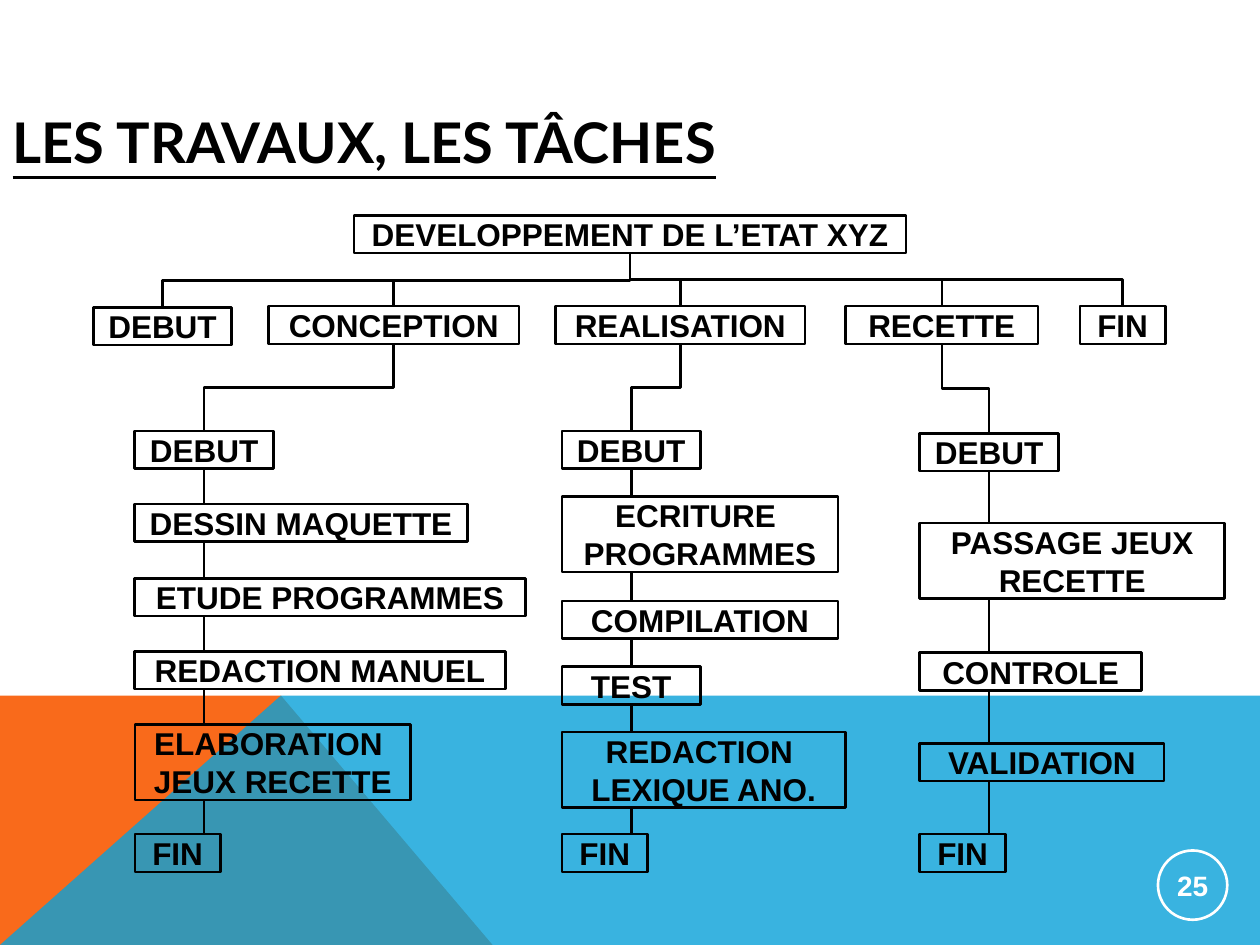
import pptx
import pptx.dml.color
import pptx.enum.shapes
import pptx.enum.text
import pptx.oxml
import pptx.oxml.ns
import pptx.util
from pptx.util import Inches

BLACK = pptx.dml.color.RGBColor(0x00, 0x00, 0x00)
WHITE = pptx.dml.color.RGBColor(0xFF, 0xFF, 0xFF)
ORANGE = pptx.dml.color.RGBColor(0xF9, 0x6A, 0x1B)
BLUE = pptx.dml.color.RGBColor(0x08, 0xA1, 0xD9)
CONNECTOR = pptx.enum.shapes.MSO_CONNECTOR
SHAPE = pptx.enum.shapes.MSO_SHAPE
LINE_HEIGHT = 0.3
TOP, BOTTOM = 0, 2
BUS_Y = 2.22

PHASES = [
    ("DEBUT", 0.74, 2.44, 1.1),
    ("CONCEPTION", 2.13, 2.43, 1.99),
    ("REALISATION", 4.41, 2.43, 1.98),
    ("RECETTE", 6.71, 2.43, 1.53),
    ("FIN", 8.57, 2.43, 0.68),
]
CONCEPTION_TASKS = [
    ("DEBUT", 3.42, 1.1, 1),
    ("DESSIN MAQUETTE", 4, 2.64, 1),
    ("ETUDE PROGRAMMES", 4.59, 3.1, 1),
    ("REDACTION MANUEL", 5.17, 2.94, 1),
    ("ELABORATION \nJEUX RECETTE", 5.75, 2.19, 2),
    ("FIN", 6.62, 0.68, 1),
]
REALISATION_TASKS = [
    ("DEBUT", 3.42, 1.1, 1),
    ("ECRITURE \nPROGRAMMES", 3.94, 2.19, 2),
    ("COMPILATION", 4.77, 2.19, 1),
    ("TEST", 5.29, 1.1, 1),
    ("REDACTION \nLEXIQUE ANO.", 5.81, 2.25, 2),
    ("FIN", 6.62, 0.68, 1),
]
RECETTE_TASKS = [
    ("DEBUT", 3.44, 1.1, 1),
    ("PASSAGE JEUX RECETTE", 4.15, 2.42, 2),
    ("CONTROLE", 5.18, 1.76, 1),
    ("VALIDATION", 5.9, 1.94, 1),
    ("FIN", 6.62, 0.68, 1),
]


def format_text(text_frame, font_name, size, color):
    """Give every run of a text frame the same bold font."""
    for paragraph in text_frame.paragraphs:
        for run in paragraph.runs:
            run.font.name = font_name
            run.font.size = pptx.util.Pt(size)
            run.font.bold = True
            run.font.color.rgb = color


def add_label(slide, kind, box, text, color, size, inset=0):
    """Add an outlined, unfilled shape with centred text."""
    shape = slide.shapes.add_shape(kind, *map(Inches, box))
    shape.shadow.inherit = False
    shape.fill.background()
    shape.line.color.rgb = color
    shape.line.width = pptx.util.Pt(1.5)
    frame = shape.text_frame
    frame.word_wrap = True
    frame.vertical_anchor = pptx.enum.text.MSO_ANCHOR.MIDDLE
    frame.margin_left = frame.margin_right = Inches(inset)
    frame.margin_top = frame.margin_bottom = Inches(inset)
    frame.text = text
    for paragraph in frame.paragraphs:
        paragraph.alignment = pptx.enum.text.PP_ALIGN.CENTER
    format_text(frame, "Arial", size, color)
    return shape


def add_task(slide, text, left, top, width, lines=1):
    """Add one task box sized for its number of text lines."""
    box = (left, top, width, lines * LINE_HEIGHT)
    shape = add_label(slide, SHAPE.RECTANGLE, box, text, BLACK, 18)
    shape.text_frame.auto_size = pptx.enum.text.MSO_AUTO_SIZE.SHAPE_TO_FIT_TEXT
    return shape


def center_x(shape):
    """Return the horizontal middle of a shape."""
    return shape.left + shape.width // 2


def add_line(slide, kind, start, end):
    """Add a black connector between two points given as lengths."""
    connector = slide.shapes.add_connector(kind, *start, *end)
    connector.line.color.rgb = BLACK
    connector.line.width = pptx.util.Pt(1.5)
    effects = pptx.oxml.parse_xml(f'<a:effectLst {pptx.oxml.ns.nsdecls("a")}/>')
    connector._element.spPr.append(effects)
    return connector


def add_vertical_elbow(slide, start, end):
    """Add an elbow that leaves and arrives vertically, by turning a horizontal one."""
    middle_x, middle_y = (start[0] + end[0]) // 2, (start[1] + end[1]) // 2
    half_run, half_drop = abs(end[0] - start[0]) // 2, (end[1] - start[1]) // 2
    goes_right = end[0] > start[0]
    reach = -half_drop if goes_right else half_drop
    connector = add_line(
        slide, CONNECTOR.ELBOW,
        (middle_x - reach, middle_y - half_run),
        (middle_x + reach, middle_y + half_run),
    )
    degrees = 270 if goes_right else 90
    connector._element.spPr.find(pptx.oxml.ns.qn("a:xfrm")).set("rot", str(degrees * 60000))


def add_corner(slide, start, end):
    """Add a one-corner connector running right, then down."""
    connector = add_line(slide, CONNECTOR.ELBOW, start, end)
    connector._element.spPr.find(pptx.oxml.ns.qn("a:prstGeom")).set("prst", "bentConnector2")


def add_decoration(slide, left, top, width, height):
    """Draw the orange triangle and translucent blue band in the given box."""
    right, bottom, peak = left + width, top + height, left + 2.23
    orange = [(left, bottom), (left, top), (peak, top), (left + 3.91, bottom)]
    blue = [(left, bottom), (peak, top), (right, top), (right, bottom)]
    for points, color in ((orange, ORANGE), (blue, BLUE)):
        corners = [(Inches(x), Inches(y)) for x, y in points]
        builder = slide.shapes.build_freeform(*corners[0])
        builder.add_line_segments(corners[1:], close=True)
        shape = builder.convert_to_shape()
        shape.shadow.inherit = False
        shape.fill.solid()
        shape.fill.fore_color.rgb = color
        shape.line.fill.background()
    color_element = shape._element.spPr.find(".//" + pptx.oxml.ns.qn("a:srgbClr"))
    color_element.append(
        pptx.oxml.parse_xml(f'<a:alpha {pptx.oxml.ns.nsdecls("a")} val="80000"/>')
    )


def add_title(slide, left, top, width, height):
    """Place and format the title placeholder."""
    title = slide.shapes.title
    title.left, title.top = Inches(left), Inches(top)
    title.width, title.height = Inches(width), Inches(height)
    frame = title.text_frame
    frame.text = "LES TRAVAUX, LES TÂCHES"
    frame.vertical_anchor = pptx.enum.text.MSO_ANCHOR.MIDDLE
    frame.paragraphs[0].alignment = pptx.enum.text.PP_ALIGN.LEFT
    format_text(frame, "Lato", 32, BLACK)
    frame.paragraphs[0].runs[0].font.underline = True


def add_phases(slide, left, top, width):
    """Add the project box and its row of phases, and return the phase shapes."""
    root = add_task(slide, "DEVELOPPEMENT DE L’ETAT XYZ", left, top, width)
    phases = [add_task(slide, *phase) for phase in PHASES]
    start, conception = phases[:2]
    root_x, bus_y = center_x(root), Inches(BUS_Y)
    add_vertical_elbow(slide, (root_x, root.top + root.height), (center_x(start), start.top))
    branch = add_line(
        slide, CONNECTOR.STRAIGHT,
        (center_x(conception), bus_y), (center_x(conception), conception.top),
    )
    branch.end_connect(conception, TOP)
    previous_x = root_x
    for phase in phases[2:]:
        add_corner(slide, (previous_x, bus_y), (center_x(phase), phase.top))
        previous_x = center_x(phase)
    return phases


def add_task_column(slide, phase, left, tasks):
    """Add a chain of tasks under a phase, linked along the first task's axis."""
    shapes = [add_task(slide, text, left, *place) for text, *place in tasks]
    axis = center_x(shapes[0])
    add_vertical_elbow(
        slide, (center_x(phase), phase.top + phase.height), (axis, shapes[0].top)
    )
    for upper, lower in zip(shapes, shapes[1:]):
        link = add_line(
            slide, CONNECTOR.STRAIGHT, (axis, upper.top + upper.height), (axis, lower.top)
        )
        if center_x(upper) == axis:
            link.begin_connect(upper, BOTTOM)
        if center_x(lower) == axis:
            link.end_connect(lower, TOP)


def main():
    """Build the task breakdown slide and save it."""
    presentation = pptx.Presentation()
    presentation.slide_width, presentation.slide_height = Inches(10), Inches(7.5)
    slide = presentation.slides.add_slide(presentation.slide_layouts[5])
    add_decoration(slide, 0, 5.52, 10, 1.98)
    add_title(slide, 0, 0.83, 10, 0.58)
    add_label(slide, SHAPE.OVAL, (9.19, 6.75, 0.55, 0.55), "25", WHITE, 16, 0.01)
    phases = add_phases(slide, 2.81, 1.71, 4.38)
    add_task_column(slide, phases[1], 1.07, CONCEPTION_TASKS)
    add_task_column(slide, phases[2], 4.46, REALISATION_TASKS)
    add_task_column(slide, phases[3], 7.3, RECETTE_TASKS)
    presentation.save("out.pptx")


if __name__ == "__main__":
    main()
